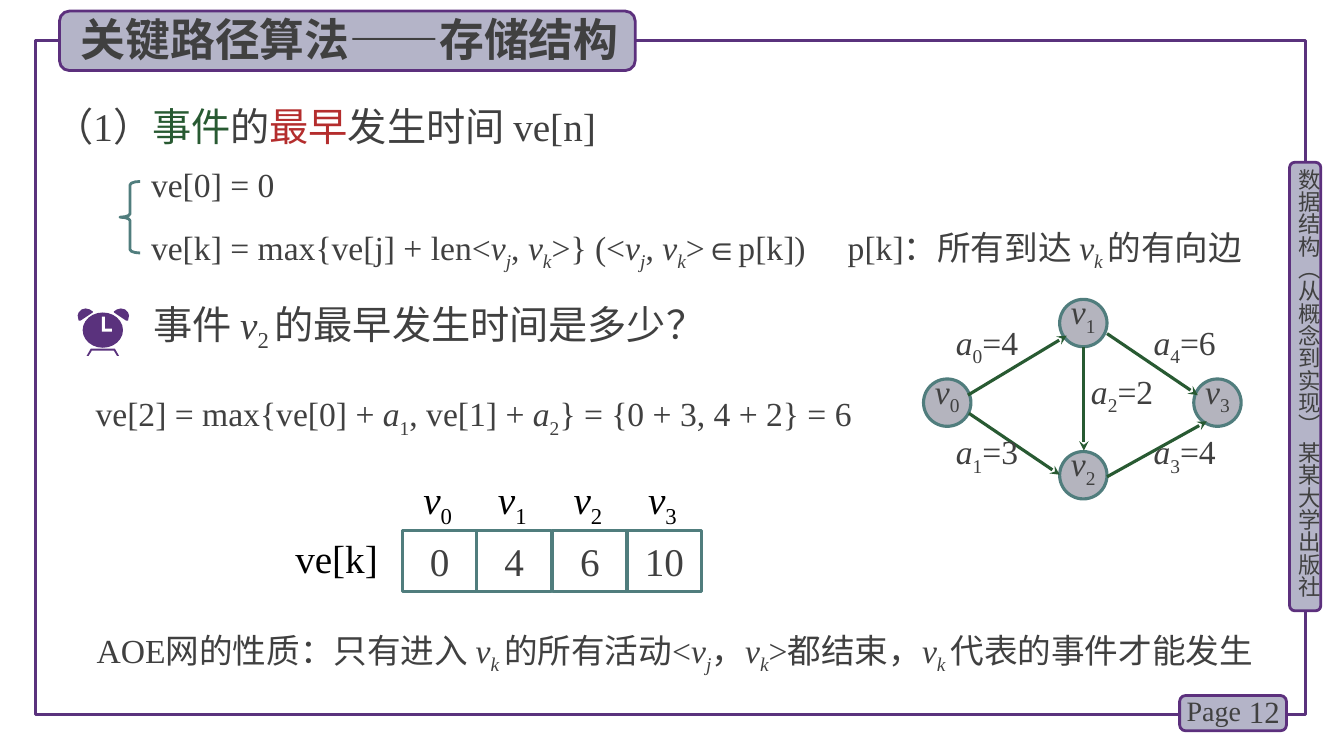
from lxml.etree import SubElement
from pptx import Presentation
from pptx.dml.color import RGBColor
from pptx.enum.shapes import MSO_CONNECTOR, MSO_SHAPE as SHAPE
from pptx.enum.text import MSO_ANCHOR as ANCHOR, MSO_AUTO_SIZE, PP_ALIGN as ALIGN
from pptx.oxml.ns import qn
from pptx.util import Emu, Pt

PX = 9144  # one hundredth of an inch
LATIN, CJK = "Times New Roman", "Noto Sans CJK SC"
INK, BLACK, WHITE = "404040", "000000", "FFFFFF"
PURPLE, EDGE_PURPLE, LILAC = "5A327D", "5C307D", "B4B4C8"
TEAL, GREY, GREEN, RED = "507D7D", "B4B4BE", "285A32", "B42D2D"


def px(*lengths):
    return [Emu(length * PX) for length in lengths]


def rgb(value):
    return RGBColor.from_string(value)


def styled(text, italic=False, sub=False, color=None):
    return text, italic, sub, color


def var(name, index, italic_index=False):
    """Runs for an italic variable with a subscript."""
    return [styled(name, italic=True), styled(index, italic=italic_index, sub=True)]


def event(index):
    return var("v", index, italic_index=True)


def write(frame, lines, size=24, color=INK, font=LATIN, bold=False, spacing=None,
          align=ALIGN.LEFT, anchor=ANCHOR.TOP, tab=None, wrap=True, inset=None):
    """Fill a text frame; each line is a list of plain strings and styled runs."""
    frame.word_wrap = wrap
    frame.auto_size = MSO_AUTO_SIZE.NONE
    frame.vertical_anchor = anchor
    if inset is not None:
        frame.margin_left = frame.margin_right = Emu(inset)
        frame.margin_top = frame.margin_bottom = Emu(inset)
    for number, line in enumerate(lines):
        paragraph = frame.add_paragraph() if number else frame.paragraphs[0]
        paragraph.alignment = align
        if spacing:
            paragraph.line_spacing = spacing
        if tab:
            stops = SubElement(paragraph._p.get_or_add_pPr(), qn("a:tabLst"))
            SubElement(stops, qn("a:tab"), pos=str(tab * PX), algn="l")
        for part in line:
            text, italic, sub, tint = styled(part) if isinstance(part, str) else part
            run = paragraph.add_run()
            run.text = text
            run.font.name = font
            run.font.size = Pt(size)
            run.font.bold = bold
            run.font.italic = italic
            run.font.color.rgb = rgb(tint or color)
            properties = run._r.get_or_add_rPr()
            SubElement(properties, qn("a:ea"), typeface=CJK)
            if sub:
                properties.set("baseline", "-25000")


def text_box(slide, area, *lines, **style):
    box = slide.shapes.add_textbox(*px(*area))
    write(box.text_frame, lines, **style)
    return box


def paint(shape, fill=None, line=None, width=2.25):
    shape.shadow.inherit = False
    if fill:
        shape.fill.solid()
        shape.fill.fore_color.rgb = rgb(fill)
    else:
        shape.fill.background()
    if line:
        shape.line.color.rgb = rgb(line)
        shape.line.width = Pt(width)
    else:
        shape.line.fill.background()


def preset(slide, kind, area, **look):
    shape = slide.shapes.add_shape(kind, *px(*area))
    paint(shape, **look)
    return shape


def badge(slide, area):
    preset(slide, SHAPE.ROUNDED_RECTANGLE, area, fill=LILAC, line=EDGE_PURPLE, width=2)


def outline(slide, points, fill):
    builder = slide.shapes.build_freeform(*points[0], scale=PX)
    builder.add_line_segments(points[1:], close=True)
    paint(builder.convert_to_shape(), fill=fill)


def oval_label(slide, area, runs, **look):
    oval = preset(slide, SHAPE.OVAL, area, **look)
    write(oval.text_frame, [runs], spacing=Pt(22), align=ALIGN.CENTER, wrap=False, inset=0)


def arrow(slide, ends):
    edge = slide.shapes.add_connector(MSO_CONNECTOR.STRAIGHT, *px(*ends))
    edge.line.color.rgb = rgb(GREEN)
    edge.line.width = Pt(2.25)
    SubElement(edge.line._get_or_add_ln(), qn("a:tailEnd"), type="stealth")
    SubElement(edge._element.spPr, qn("a:effectLst"))


def page_frame(slide):
    preset(slide, SHAPE.RECTANGLE, (35, 40, 1260, 669), line=PURPLE)
    badge(slide, (1279, 161, 31, 445))
    book = text_box(slide, (1285, 167, 27, 449), ["数据结构（从概念到实现） 某某大学出版社"],
                    size=16, font=CJK, inset=0)
    book.text_frame._txBody.bodyPr.set("vert", "eaVert")
    badge(slide, (1170, 690, 106, 35))
    text_box(slide, (1220, 686, 59, 40), ["12"], size=22, align=ALIGN.RIGHT,
             anchor=ANCHOR.MIDDLE)
    text_box(slide, (1167, 683, 78, 44), ["Page"], size=20)


def heading(slide):
    badge(slide, (59, 11, 571, 59))
    title = slide.shapes.title
    title.left, title.top, title.width, title.height = px(70, 7, 579, 64)
    write(title.text_frame, [["关键路径算法——存储结构"]], size=32, font=CJK, bold=True)
    slide.shapes._spTree.append(title._element)  # in front of its badge


def definition(slide):
    text_box(slide, (44, 94, 1092, 59),
             ["（1）", styled("事件", color=GREEN), "的", styled("最早", color=RED),
              "发生时间 ve[n]"],
             size=28, spacing=Pt(35), anchor=ANCHOR.MIDDLE)
    pair = [*event("j"), ", ", *event("k")]
    text_box(slide, (140, 141, 1130, 131),
             ["ve[0] = 0"],
             ["ve[k] = max{ve[j] + len<", *pair, ">} (<", *pair,
              ">∈p[k])\tp[k]：所有到达 ", *event("k "), "的有向边"],
             spacing=1.5, anchor=ANCHOR.MIDDLE, tab=691)
    brace = preset(slide, SHAPE.LEFT_BRACE, (119, 180, 20, 71), line=TEAL, width=2)
    brace.adjustments[0] = 0.17


def network(slide):
    nodes = [(916, 376), (1051, 297), (1051, 448), (1184, 376)]
    for index, (left, top) in enumerate(nodes):
        oval_label(slide, (left, top, 47, 47), var("v", str(index)), fill=GREY, line=TEAL)
    activities = [  # arrow ends, label corner, weight
        ((960, 392, 1058, 333), (932, 327), 4),
        ((961, 410, 1051, 471), (932, 436), 3),
        ((1075, 344, 1075, 447), (1066, 376), 2),
        ((1098, 473, 1197, 418), (1128, 436), 4),
        ((1098, 331, 1188, 392), (1128, 327), 6),
    ]
    for index, (ends, corner, weight) in enumerate(activities):
        arrow(slide, ends)
        oval_label(slide, (*corner, 94, 47), [*var("a", str(index)), f"={weight}"])


def alarm_clock(slide):
    bell = [(85, 306), (81, 307), (78, 310), (77, 313), (78, 318), (80, 318),
            (92, 310), (92, 309), (89, 307)]
    outline(slide, [(86, 353), (90, 346), (114, 346), (118, 353), (116, 353),
                    (113, 348), (91, 348), (88, 353)], PURPLE)
    outline(slide, bell, PURPLE)
    outline(slide, [(205 - x, y) for x, y in bell], PURPLE)
    preset(slide, SHAPE.OVAL, (82, 310, 40, 35), fill=PURPLE)
    outline(slide, [(101, 314), (104, 314), (104, 326), (111, 326), (111, 329),
                    (101, 329)], WHITE)


def question(slide):
    text_box(slide, (142, 297, 603, 59),
             ["事件 ", *var("v", "2 "), "的最早发生时间是多少？"],
             size=28, spacing=Pt(35), align=ALIGN.JUSTIFY)
    alarm_clock(slide)
    text_box(slide, (85, 385, 1004, 50),
             ["ve[2] = max{ve[0] + ", *var("a", "1"), ", ve[1] + ", *var("a", "2"),
              "} = {0 + 3, 4 + 2} = 6"])


def earliest_times(slide):
    text_box(slide, (283, 525, 108, 57), ["ve[k]"], size=28, color=BLACK)
    for index, time in enumerate([0, 4, 6, 10]):
        left = 399 + index * 149 // 2
        text_box(slide, (left + 11, 467, 74, 57), var("v", str(index)), size=28, color=BLACK)
        cell = preset(slide, SHAPE.RECTANGLE, (left, 526, 74, 61), line=TEAL)
        write(cell.text_frame, [[str(time)]], size=28, align=ALIGN.CENTER,
              anchor=ANCHOR.MIDDLE, wrap=False)


def aoe_property(slide):
    text_box(slide, (86, 620, 1188, 50),
             ["AOE网的性质：只有进入 ", *event("k "), "的所有活动<", *event("j"), "，",
              *event("k"), ">都结束，", *event("k "), "代表的事件才能发生"])


def main():
    deck = Presentation()
    deck.slide_width, deck.slide_height = px(1333, 750)
    slide = deck.slides.add_slide(deck.slide_layouts[5])
    for draw in (page_frame, heading, definition, network, question,
                 earliest_times, aoe_property):
        draw(slide)
    deck.save("out.pptx")


if __name__ == "__main__":
    main()
